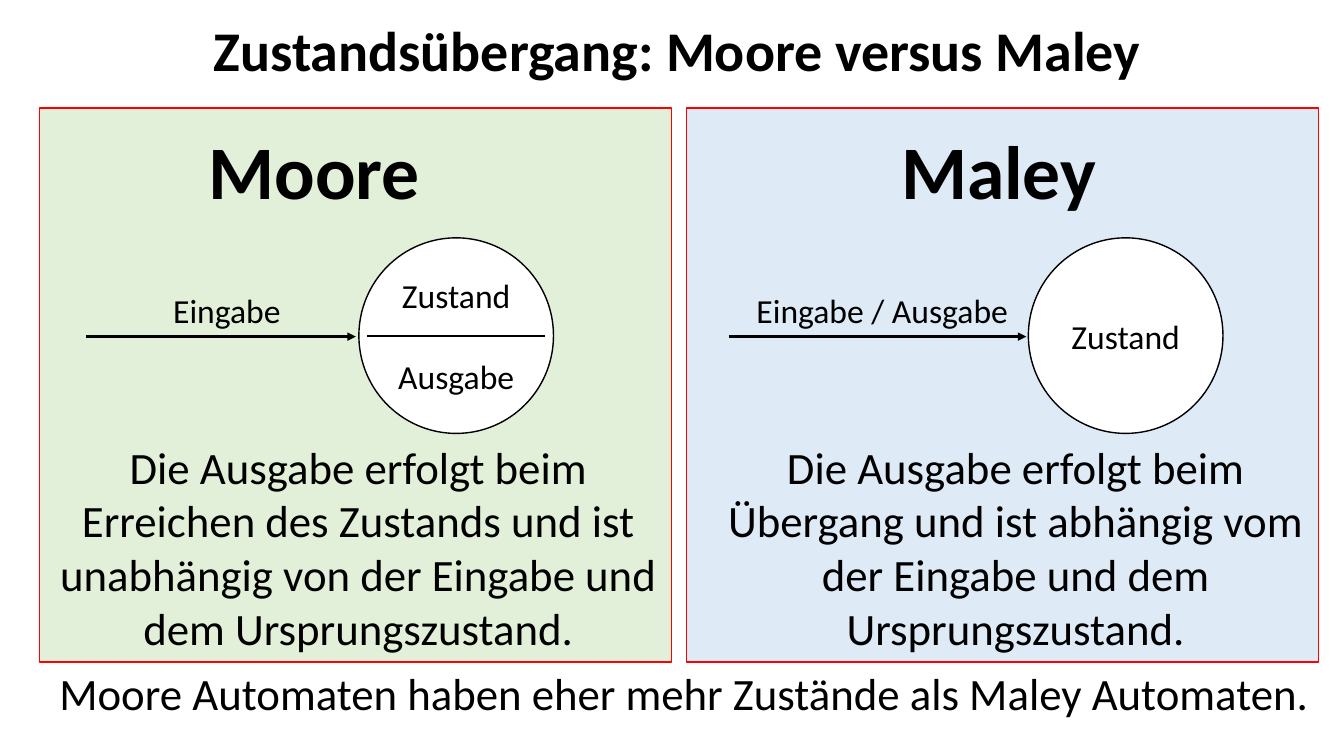
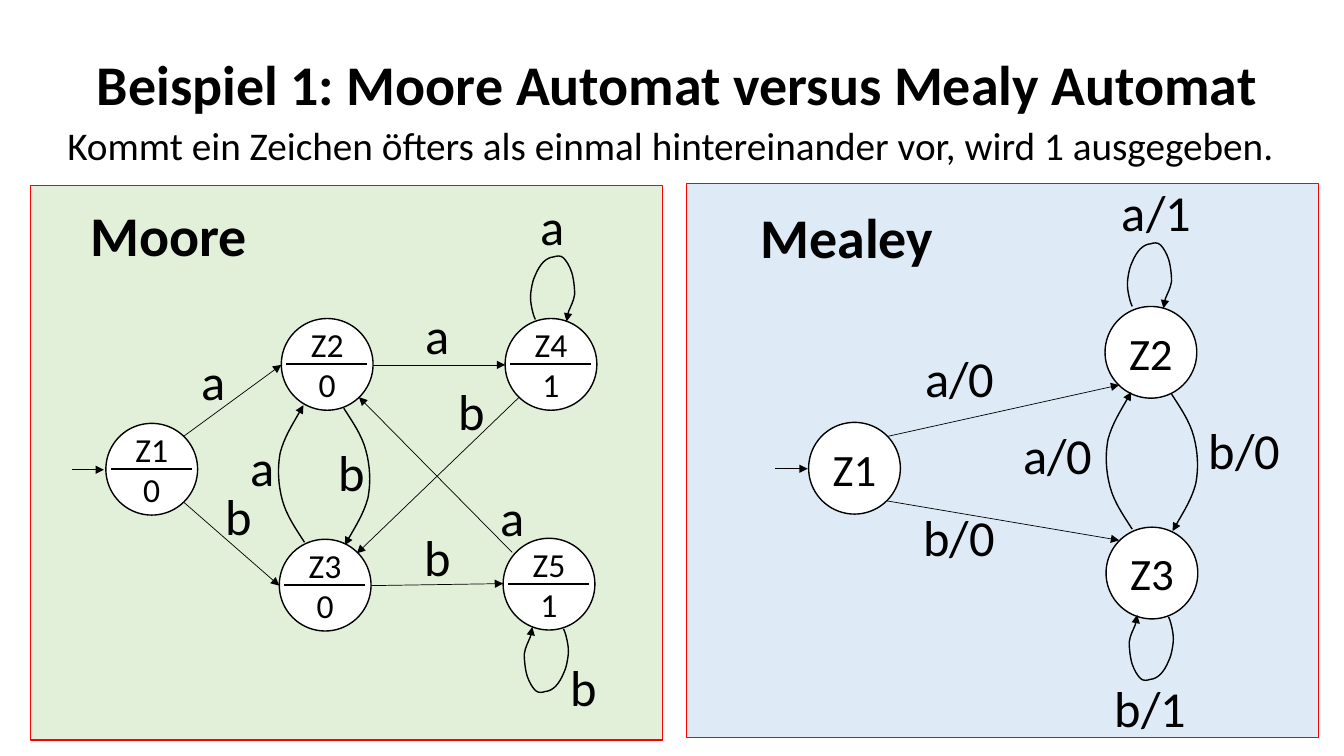
from lxml import etree
from pptx import Presentation
from pptx.dml.color import RGBColor
from pptx.enum.shapes import MSO_CONNECTOR, MSO_SHAPE
from pptx.enum.text import MSO_ANCHOR, MSO_AUTO_SIZE, PP_ALIGN
from pptx.oxml.ns import qn
from pptx.util import Inches, Pt

STRAIGHT = MSO_CONNECTOR.STRAIGHT
RECTANGLE, OVAL = MSO_SHAPE.RECTANGLE, MSO_SHAPE.OVAL
MIDDLE, TOP = MSO_ANCHOR.MIDDLE, MSO_ANCHOR.TOP
LEFT, CENTER = PP_ALIGN.LEFT, PP_ALIGN.CENTER
FIXED = MSO_AUTO_SIZE.NONE

FONT = "Calibri"
BLACK, WHITE, RED = "000000", "FFFFFF", "FF0000"
GREEN, BLUE = "E2F0D9", "DEEBF7"
NODE_SIZE = 0.91
TITLE_LAYOUT = 5

# Bézier points relative to the start of an arc or the foot of a loop
ARC = [(0, 0), (-0.09, -0.14), (-0.18, -0.27), (-0.22, -0.42),
       (-0.26, -0.57), (-0.27, -0.73), (-0.24, -0.89),
       (-0.2, -1.04), (-0.1, -1.2), (-0.01, -1.36)]
LOOP = [(-0.18, 0), (-0.2, -0.04), (-0.21, -0.09), (-0.22, -0.14),
        (-0.23, -0.19), (-0.23, -0.25), (-0.22, -0.3),
        (-0.21, -0.36), (-0.2, -0.4), (-0.18, -0.44),
        (-0.16, -0.49), (-0.13, -0.54), (-0.1, -0.57),
        (-0.07, -0.6), (-0.03, -0.62), (0, -0.62),
        (0.03, -0.63), (0.07, -0.64), (0.1, -0.61),
        (0.13, -0.58), (0.16, -0.53), (0.18, -0.47),
        (0.2, -0.41), (0.21, -0.31), (0.21, -0.25),
        (0.2, -0.18), (0.17, -0.13), (0.15, -0.08),
        (0.14, -0.04), (0.13, -0.01), (0.13, 0.02)]


def color(value):
    return RGBColor.from_string(value)


def style_text(frame, size, bold=False, align=LEFT, anchor=TOP, spacing=None):
    frame.vertical_anchor = anchor
    for para in frame.paragraphs:
        para.alignment = align
        if spacing:
            para.line_spacing = spacing
        for span in para.runs:
            span.font.name = FONT
            span.font.size = Pt(size)
            span.font.bold = bold
            span.font.color.rgb = color(BLACK)


def add_page(deck, title, top):
    page = deck.slides.add_slide(deck.slide_layouts[TITLE_LAYOUT])
    box = page.shapes.title
    box.left, box.top = Inches(0.1), Inches(top)
    box.width, box.height = Inches(13.23), Inches(1.45)
    frame = box.text_frame
    frame.text = title
    frame.auto_size = FIXED
    style_text(frame, 40, True, CENTER, MIDDLE, 0.9)
    return page


def add_text(page, text, left, top, width, height, size, align=LEFT):
    box = page.shapes.add_textbox(Inches(left), Inches(top), Inches(width), Inches(height))
    frame = box.text_frame
    frame.word_wrap = True
    frame.text = text
    style_text(frame, size, align=align)
    return frame


def add_heading(page, text, left, top, width, height, size):
    frame = add_text(page, text, left, top, width, height, size)
    style_text(frame, size, True, CENTER, MIDDLE, 0.9)


def add_outlined(page, kind, left, top, width, height, fill, line):
    shape = page.shapes.add_shape(kind, Inches(left), Inches(top), Inches(width), Inches(height))
    shape.shadow.inherit = False
    shape.fill.solid()
    shape.fill.fore_color.rgb = color(fill)
    shape.line.color.rgb = color(line)
    shape.line.width = Pt(1)
    return shape


def add_panel(page, left, top, fill):
    add_outlined(page, RECTANGLE, left, top, 6.27, 5.5, fill, RED)


def add_state(page, text, left, top, size, width=NODE_SIZE, height=NODE_SIZE):
    frame = add_outlined(page, OVAL, left, top, width, height, WHITE, BLACK).text_frame
    frame.margin_left = frame.margin_right = frame.margin_top = frame.margin_bottom = 0
    frame.word_wrap = False
    frame.text = text
    style_text(frame, size, align=CENTER, anchor=MIDDLE)
    return frame


def style_line(shape, width, arrow):
    shape.line.color.rgb = color(BLACK)
    shape.line.width = Pt(width)
    if arrow:
        tail = etree.SubElement(shape.line._get_or_add_ln(), qn("a:tailEnd"))
        tail.set("type", "triangle")


def add_line(page, x1, y1, x2, y2, width, arrow=True):
    line = page.shapes.add_connector(STRAIGHT, Inches(x1), Inches(y1), Inches(x2), Inches(y2))
    style_line(line, width, arrow)
    etree.SubElement(line._element.spPr, qn("a:effectLst"))


def add_curve(page, offsets, x, y, turned=False):
    """Draw a Bézier arrow at x, y; turned rotates it by 180 degrees."""
    sign = -1 if turned else 1
    points = [(Inches(x + sign * dx), Inches(y + sign * dy)) for dx, dy in offsets]
    builder = page.shapes.build_freeform(*points[0])
    builder.add_line_segments(points[1:], close=False)
    curve = builder.convert_to_shape()
    steps = list(curve._element.iter(qn("a:lnTo")))
    for first in range(0, len(steps), 3):
        bezier = etree.Element(qn("a:cubicBezTo"))
        steps[first].addprevious(bezier)
        for step in steps[first:first + 3]:
            bezier.append(step[0])
            step.getparent().remove(step)
    curve.fill.background()
    curve.shadow.inherit = False
    style_line(curve, 1, True)


def add_divided_state(page, name, output, left, top):
    add_state(page, f"{name}\n{output}", left, top, 24)
    middle = top + NODE_SIZE / 2
    add_line(page, left + 0.05, middle, left + 0.85, middle, 1.5, arrow=False)


def build_transition(deck):
    page = add_page(deck, "Zustandsübergang: Moore versus Maley", -0.2)
    add_panel(page, 6.81, 1.07, BLUE)
    add_panel(page, 0.39, 1.07, GREEN)

    frame = add_state(page, "Zustand\nAusgabe", 3.56, 2.36, 24, 1.93, 1.94)
    frame.paragraphs[1].space_before = Pt(29)
    add_line(page, 3.64, 3.33, 5.41, 3.33, 1.5, arrow=False)
    add_state(page, "Zustand", 10.2, 2.36, 24, 1.93, 1.94)

    for name, left in (("Moore", 1.74), ("Maley", 8.53)):
        add_heading(page, name, left, 1.24, 2.75, 1, 54)
    for start, end in ((0.85, 3.53), (7.23, 10.18)):
        add_line(page, start, 3.34, end, 3.34, 2)
    add_text(page, "Eingabe", 1.36, 2.83, 1.78, 0.5, 24, CENTER)
    add_text(page, "Eingabe / Ausgabe", 7.28, 2.83, 2.94, 0.5, 24, CENTER)

    explanations = (
        ("Die Ausgabe erfolgt beim Erreichen des Zustands und ist unabhängig "
         "von der Eingabe und dem Ursprungszustand.", 0.39),
        ("Die Ausgabe erfolgt beim Übergang und ist abhängig vom der Eingabe "
         "und dem Ursprungszustand.", 6.91),
    )
    for text, left in explanations:
        add_text(page, text, left, 4.31, 6.33, 2.26, 32, CENTER)
    add_text(page, "Moore Automaten haben eher mehr Zustände als Maley Automaten.",
             0.49, 6.56, 12.94, 0.64, 32)


def draw_moore(page):
    add_panel(page, 0.3, 1.84, GREEN)
    add_heading(page, "Moore", 0.55, 1.75, 2.24, 1.22, 40)
    add_line(page, 0.71, 4.66, 1.03, 4.66, 1)
    edges = (
        (1.82, 4.33, 2.79, 3.62), (3.7, 3.62, 5.01, 3.62),
        (1.82, 4.98, 2.77, 5.81), (3.67, 5.81, 4.99, 5.79),
        (5.15, 3.94, 3.54, 5.49), (5.08, 5.48, 3.56, 3.94),
    )
    for edge in edges:
        add_line(page, *edge, 0.5)
    add_curve(page, LOOP, 5.49, 3.17)
    add_curve(page, LOOP, 5.41, 6.24, turned=True)
    add_curve(page, ARC, 3.02, 5.38)
    add_curve(page, ARC, 3.41, 4.05, turned=True)
    states = (
        ("Z1", 0, 1.05, 4.2), ("Z2", 0, 2.79, 3.16), ("Z3", 0, 2.77, 5.35),
        ("Z4", 1, 5.01, 3.16), ("Z5", 1, 4.99, 5.34),
    )
    for state in states:
        add_divided_state(page, *state)
    labels = (
        ("a", 1.88, 3.42), ("a", 4.1, 2.97), ("b", 2.13, 4.76), ("b", 4.1, 5.17),
        ("a", 2.36, 4.28), ("b", 3.25, 4.33), ("b", 4.44, 3.72), ("a", 4.84, 4.77),
    )
    for text, left, top in labels:
        add_text(page, text, left, top, 0.48, 0.71, 36, CENTER)
    for text, left, top in (("a", 5.26, 1.89), ("b", 5.56, 6.46)):
        add_text(page, text, left, top, 1, 0.71, 36)


def draw_mealy(page):
    add_panel(page, 6.81, 1.82, BLUE)
    add_heading(page, "Mealey", 7.28, 1.77, 2.24, 1.22, 40)
    add_line(page, 7.69, 4.65, 8.01, 4.65, 1)
    for edge in ((8.8, 4.33, 11.1, 3.82), (8.8, 4.97, 11.1, 5.36)):
        add_line(page, *edge, 0.5)
    for text, left, top in (("Z1", 8.02, 4.19), ("Z2", 10.96, 3.04), ("Z3", 10.97, 5.23)):
        add_state(page, text, left, top, 32)
    add_curve(page, LOOP, 11.41, 3.04)
    add_curve(page, LOOP, 11.41, 6.12, turned=True)
    add_curve(page, ARC, 11.23, 5.25)
    add_curve(page, ARC, 11.62, 3.91, turned=True)
    labels = (
        ("a/1", 11.03, 1.75), ("a/0", 9.08, 3.39), ("a/0", 10.05, 4.16),
        ("b/0", 11.89, 4.11), ("b/0", 9.06, 4.97), ("b/1", 10.96, 6.67),
    )
    for text, left, top in labels:
        add_text(page, text, left, top, 1, 0.71, 36)


def build_example(deck):
    page = add_page(deck, "Beispiel 1: Moore Automat versus Mealy Automat", 0.14)
    add_text(page, "Kommt ein Zeichen öfters als einmal hintereinander vor, wird 1 ausgegeben.",
             0.57, 1.15, 13, 0.57, 28)
    draw_moore(page)
    draw_mealy(page)


def main():
    deck = Presentation()
    deck.slide_width, deck.slide_height = Inches(13.33), Inches(7.5)
    build_transition(deck)
    build_example(deck)
    deck.save("out.pptx")


if __name__ == "__main__":
    main()
